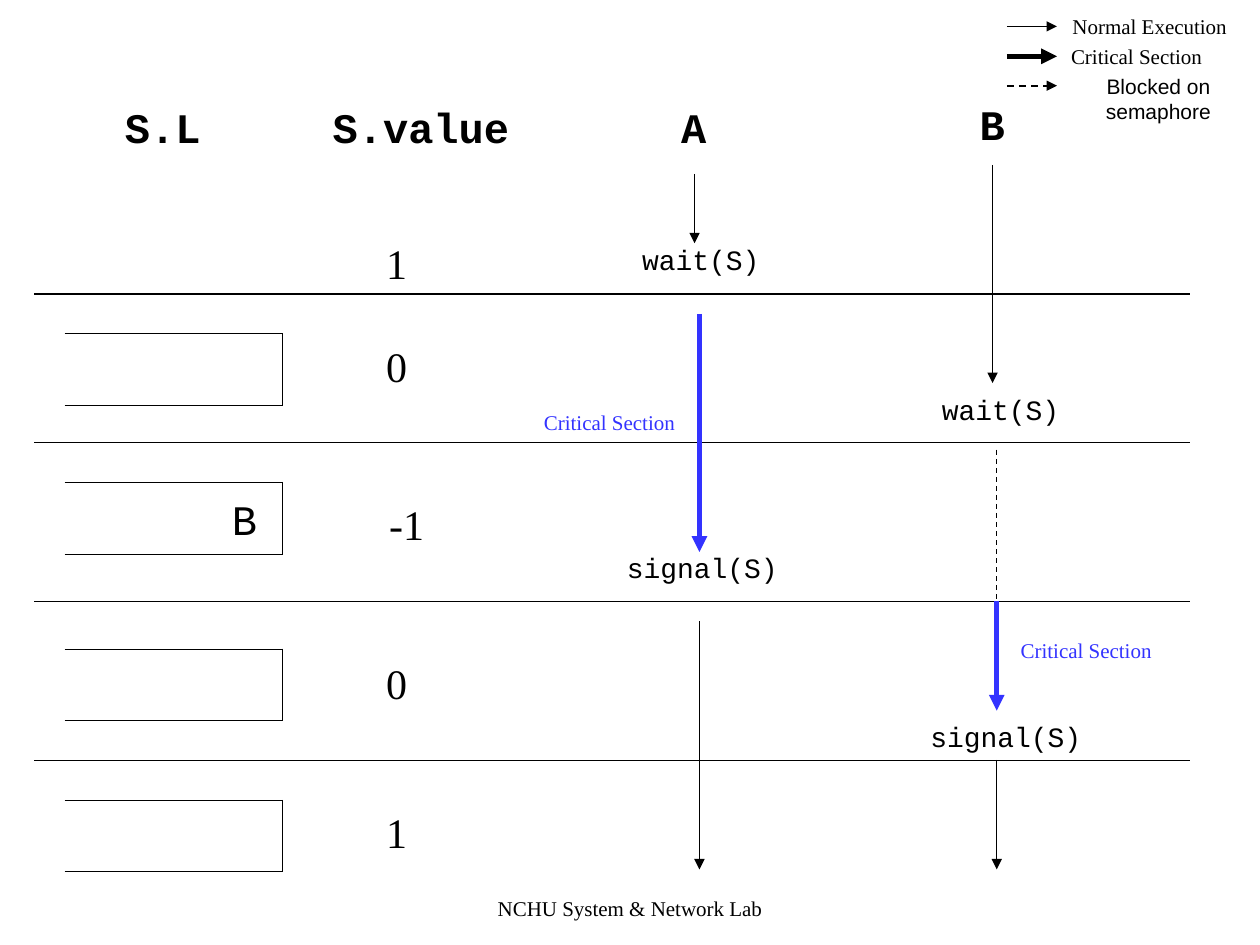
import dataclasses
import typing

import lxml.etree
import pptx
import pptx.dml.color
import pptx.enum.dml
import pptx.enum.shapes
import pptx.enum.text
import pptx.oxml.ns
import pptx.util

Pt = pptx.util.Pt
qn = pptx.oxml.ns.qn
Color = pptx.dml.color.RGBColor


@dataclasses.dataclass(frozen=True)
class Theme:
    black: str = "000000"
    blue: str = "3333FF"
    serif: str = "Times New Roman"
    mono: str = "Courier New"
    sans: str = "Arial"
    big: float = 24
    mid: float = 16
    small: float = 12
    thin: float = 0.75
    dashed: float = 1
    thick: float = 3
    border: float = 0.45


THEME = Theme()


class Style(typing.NamedTuple):
    font: str
    size: float
    height: float
    color: str = THEME.black
    bold: bool = False
    wrap: bool = False
    grow: bool = True


HEAD = Style(THEME.mono, THEME.big, 36, bold=True)
ITEM = Style(THEME.mono, THEME.big, 36)
CALL = Style(THEME.mono, THEME.mid, 26.6)
VALUE = Style(THEME.serif, THEME.big, 36, wrap=True)
KEY = Style(THEME.serif, THEME.small, 21.6)
NOTE = KEY._replace(color=THEME.blue)
BLOCK = Style(THEME.sans, THEME.small, 36, wrap=True)
FOOT = Style(THEME.serif, THEME.small, 17.3, wrap=True, grow=False)


class Label(typing.NamedTuple):
    text: str
    left: float
    top: float
    width: float
    style: Style


class Line(typing.NamedTuple):
    x1: float
    y1: float
    x2: float
    y2: float
    color: str = THEME.black
    weight: float = THEME.thin
    dash: bool = False
    arrow: bool = True


LABELS = [
    Label("NCHU System & Network Lab", 207, 508.3, 306, FOOT),
    Label("S.L", 63.5, 54.7, 59, HEAD),
    Label("S.value", 182, 54.7, 117, HEAD),
    Label("A", 381.5, 54.7, 30, HEAD),
    Label("B", 552, 52.6, 30, HEAD),
    Label("wait(S)", 359, 135, 83, CALL),
    Label("wait(S)", 530.3, 221, 83, CALL),
    Label("signal(S)", 349.3, 311.2, 104, CALL),
    Label("signal(S)", 522.8, 407.7, 104, CALL),
    Label("B", 124.7, 278.6, 30, ITEM),
    Label("Critical Section", 302.8, 230.4, 91, NOTE),
    Label("Critical Section", 575.2, 360.7, 91, NOTE),
    Label("Blocked on\nsemaphore", 604, 38.2, 116, BLOCK),
]
VALUES = [("1", 132), ("0", 190.8), ("-1", 281.5), ("0", 372.2), ("1", 457.2)]
RULES = [168, 252.9, 343.6, 434.4]
QUEUES = [190.6, 275.6, 370.8, 457.2]

A_X, B_X = 399.7, 569.6
ARROWS = [
    Line(396.9, 99.4, 396.9, 139),
    Line(567.2, 94.3, 567.2, 218.9),
    Line(A_X, 179.3, A_X, 315.4, THEME.blue, THEME.thick),
    Line(A_X, 355, A_X, 496.8),
    Line(B_X, 257, B_X, 342, dash=True, arrow=False),
    Line(B_X, 343.4, B_X, 406.1, THEME.blue, THEME.thick),
    Line(B_X, 434.2, B_X, 496.8),
    Line(575.3, 49, 604, 49, weight=THEME.dashed, dash=True),
]
KEYS = [
    (Label("Normal Execution", 604, 4.3, 106, KEY), THEME.thin),
    (Label("Critical Section", 604, 21.4, 91, KEY), THEME.thick),
]


def assign(target: typing.Any, values: dict) -> None:
    for name, value in values.items():
        setattr(target, name, value)


def add_label(shapes: typing.Any, label: Label) -> typing.Any:
    style = label.style
    box = shapes.add_textbox(
        Pt(label.left), Pt(label.top), Pt(label.width), Pt(style.height)
    )
    frame = box.text_frame
    frame.text = label.text
    fit = pptx.enum.text.MSO_AUTO_SIZE
    assign(frame, {
        "word_wrap": style.wrap,
        "auto_size": fit.SHAPE_TO_FIT_TEXT if style.grow else fit.NONE,
    })
    for para in frame.paragraphs:
        para.alignment = pptx.enum.text.PP_ALIGN.CENTER
        for run in para.runs:
            assign(run.font, {
                "name": style.font, "size": Pt(style.size), "bold": style.bold,
            })
            run.font.color.rgb = Color.from_string(style.color)
    return box


def add_line(shapes: typing.Any, line: Line) -> typing.Any:
    link = shapes.add_connector(
        pptx.enum.shapes.MSO_CONNECTOR.STRAIGHT,
        Pt(line.x1), Pt(line.y1), Pt(line.x2), Pt(line.y2),
    )
    link.line.width = Pt(line.weight)
    link.line.color.rgb = Color.from_string(line.color)
    if line.dash:
        link.line.dash_style = pptx.enum.dml.MSO_LINE.DASH
    props = link.element.spPr
    if line.arrow:
        lxml.etree.SubElement(props.find(qn("a:ln")), qn("a:tailEnd"), type="triangle")
    lxml.etree.SubElement(props, qn("a:effectLst"))
    return link


def add_queue(shapes: typing.Any, top: float) -> None:
    frame = shapes.add_table(1, 1, Pt(36.9), Pt(top), Pt(124.6), Pt(41))
    assign(frame.table, {"first_row": False, "horz_banding": False})
    frame.table.cell(0, 0).fill.background()
    props = next(frame.element.iter(qn("a:tcPr")))
    for spot, side in enumerate("LRTB"):
        edge = lxml.etree.Element(qn("a:ln" + side), w=str(Pt(THEME.border)))
        props.insert(spot, edge)
        if side == "L":
            lxml.etree.SubElement(edge, qn("a:noFill"))
        else:
            fill = lxml.etree.SubElement(edge, qn("a:solidFill"))
            lxml.etree.SubElement(fill, qn("a:srgbClr"), val=THEME.black)


def add_key(shapes: typing.Any, label: Label, weight: float) -> None:
    box = add_label(shapes, label)
    mid = label.top + label.style.height / 2
    link = add_line(shapes, Line(575.3, mid, label.left, mid, weight=weight))
    link.end_connect(box, 1)


def main() -> None:
    deck = pptx.Presentation()
    assign(deck, {"slide_width": Pt(720), "slide_height": Pt(540)})
    shapes = deck.slides.add_slide(deck.slide_layouts[6]).shapes
    for y in RULES:
        add_line(shapes, Line(19.7, y, 680, y, arrow=False))
    for top in QUEUES:
        add_queue(shapes, top)
    for text, top in VALUES:
        width = 28 if len(text) == 1 else 39.6
        add_label(shapes, Label(text, 212.6, top, width, VALUE))
    for label in LABELS:
        add_label(shapes, label)
    for line in ARROWS:
        add_line(shapes, line)
    for label, weight in KEYS:
        add_key(shapes, label, weight)
    deck.save("out.pptx")


if __name__ == "__main__":
    main()
